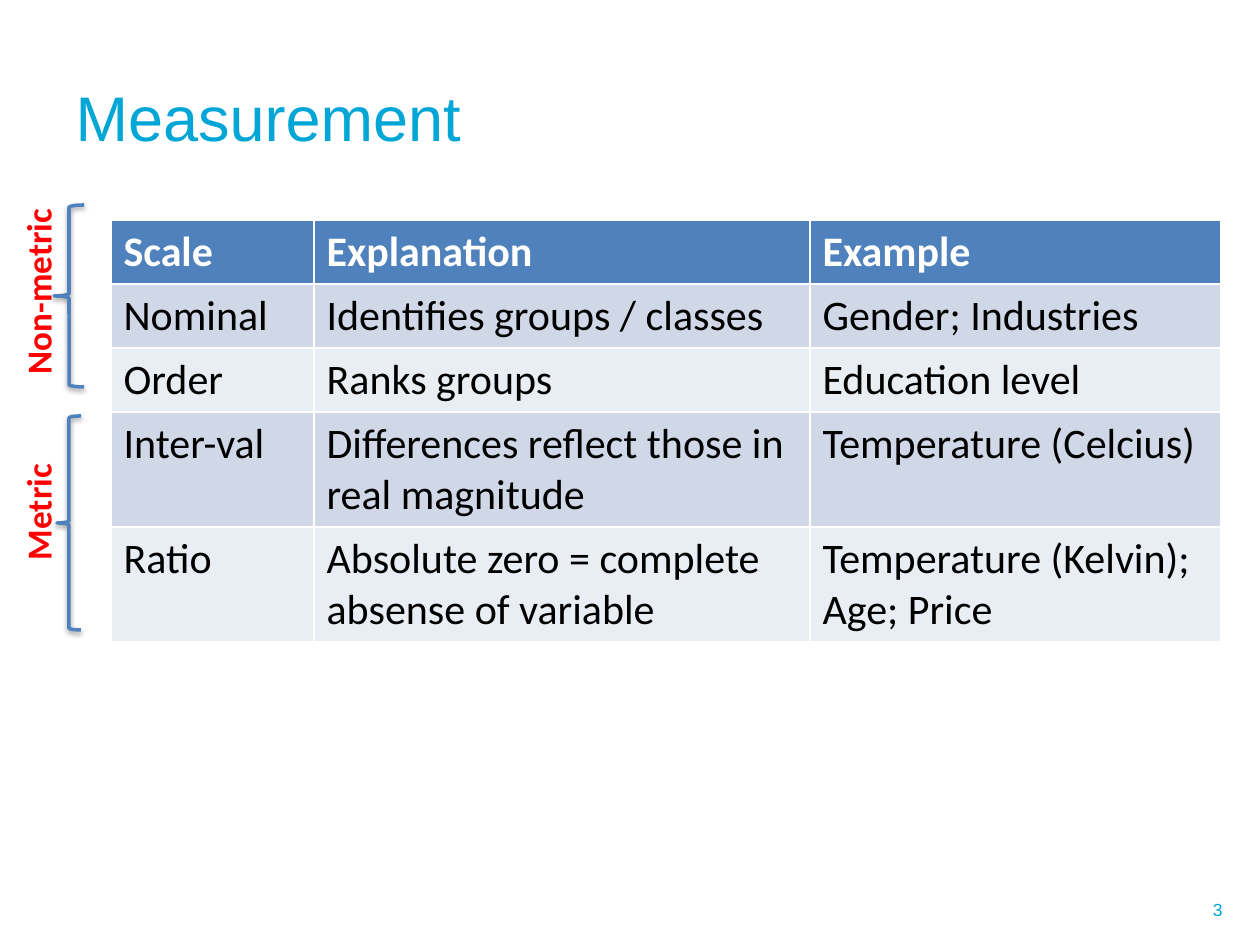
import pptx
import pptx.util
import pptx.dml.color
import pptx.enum.shapes
import pptx.enum.text
import pptx.oxml

PX = 914400 // 126
HUES = {"cyan": "00A6D6", "blue": "4F81BD", "red": "FF0000", "white": "FFFFFF",
        "black": "000000", "dark": "D0D8E8", "light": "E9EDF4"}
SHADE = ('<a:effectLst xmlns:a="http://schemas.openxmlformats.org/drawingml/2006/main">'
         '<a:outerShdw blurRad="40000" dist="20000" dir="5400000" rotWithShape="0">'
         '<a:srgbClr val="000000"><a:alpha val="38000"/></a:srgbClr>'
         '</a:outerShdw></a:effectLst>')


def rgb(name):
    return pptx.dml.color.RGBColor.from_string(HUES[name])


def write(frame, text, size, face, hue, bold=False):
    frame.text = text
    for run in frame.paragraphs[0].runs:
        run.font.size = pptx.util.Pt(size)
        run.font.name = face
        run.font.bold = bold
        run.font.color.rgb = rgb(hue)


deck = pptx.Presentation()
deck.slide_width, deck.slide_height = 1260 * PX, 945 * PX
slide = deck.slides.add_slide(deck.slide_layouts[5])
shapes = slide.shapes
middle = pptx.enum.text.MSO_ANCHOR.MIDDLE
align = pptx.enum.text.PP_ALIGN

# Title
title = shapes.title
title.left, title.top, title.width, title.height = 63 * PX, 38 * PX, 1152 * PX, 157 * PX
write(title.text_frame, "Measurement", 36, "Arial", "cyan")
title.text_frame.vertical_anchor = middle
title.text_frame.paragraphs[0].alignment = align.LEFT

# Page number
box = shapes.add_textbox(916 * PX, 885 * PX, 319 * PX, 50 * PX)
box.text_frame.word_wrap = True
box.text_frame.vertical_anchor = middle
write(box.text_frame, "3", 10, "Arial", "cyan")
box.text_frame.paragraphs[0].alignment = align.RIGHT

# Table of scales
rows = [
    ("Scale", "Explanation", "Example"),
    ("Nominal", "Identifies groups / classes", "Gender; Industries"),
    ("Order", "Ranks groups", "Education level"),
    ("Inter-val", "Differences reflect those in real magnitude", "Temperature (Celcius)"),
    ("Ratio", "Absolute zero = complete absense of variable", "Temperature (Kelvin); Age; Price"),
]
wide = [203, 496, 411]
high = [64, 64, 64, 115, 115]
table = shapes.add_table(len(rows), len(wide), 111 * PX, 220 * PX,
                         sum(wide) * PX, sum(high) * PX).table
for col, width in zip(table.columns, wide):
    col.width = width * PX
for r, (row, height) in enumerate(zip(rows, high)):
    table.rows[r].height = height * PX
    head = r == 0
    fill = "blue" if head else ("dark" if r % 2 else "light")
    for c, text in enumerate(row):
        cell = table.cell(r, c)
        cell.fill.solid()
        cell.fill.fore_color.rgb = rgb(fill)
        write(cell.text_frame, text, 24, "Calibri", "white" if head else "black", head)

# Group labels, turned to read upwards
for text, left, top, width in [("Non-metric", -58, 263, 192), ("Metric", -23, 484, 122)]:
    label = shapes.add_textbox(left * PX, top * PX, width * PX, 55 * PX)
    label.rotation = 270
    label.text_frame.word_wrap = False
    label.text_frame.auto_size = pptx.enum.text.MSO_AUTO_SIZE.SHAPE_TO_FIT_TEXT
    write(label.text_frame, text, 20, "Calibri", "red", True)

# Braces around the groups
for left, top, width, height in [(54, 205, 30, 182), (57, 416, 24, 214)]:
    brace = shapes.add_shape(pptx.enum.shapes.MSO_SHAPE.LEFT_BRACE,
                             left * PX, top * PX, width * PX, height * PX)
    brace.fill.background()
    brace.line.color.rgb = rgb("blue")
    brace.line.width = pptx.util.Pt(2)
    brace._element.spPr.append(pptx.oxml.parse_xml(SHADE))

deck.save("out.pptx")
